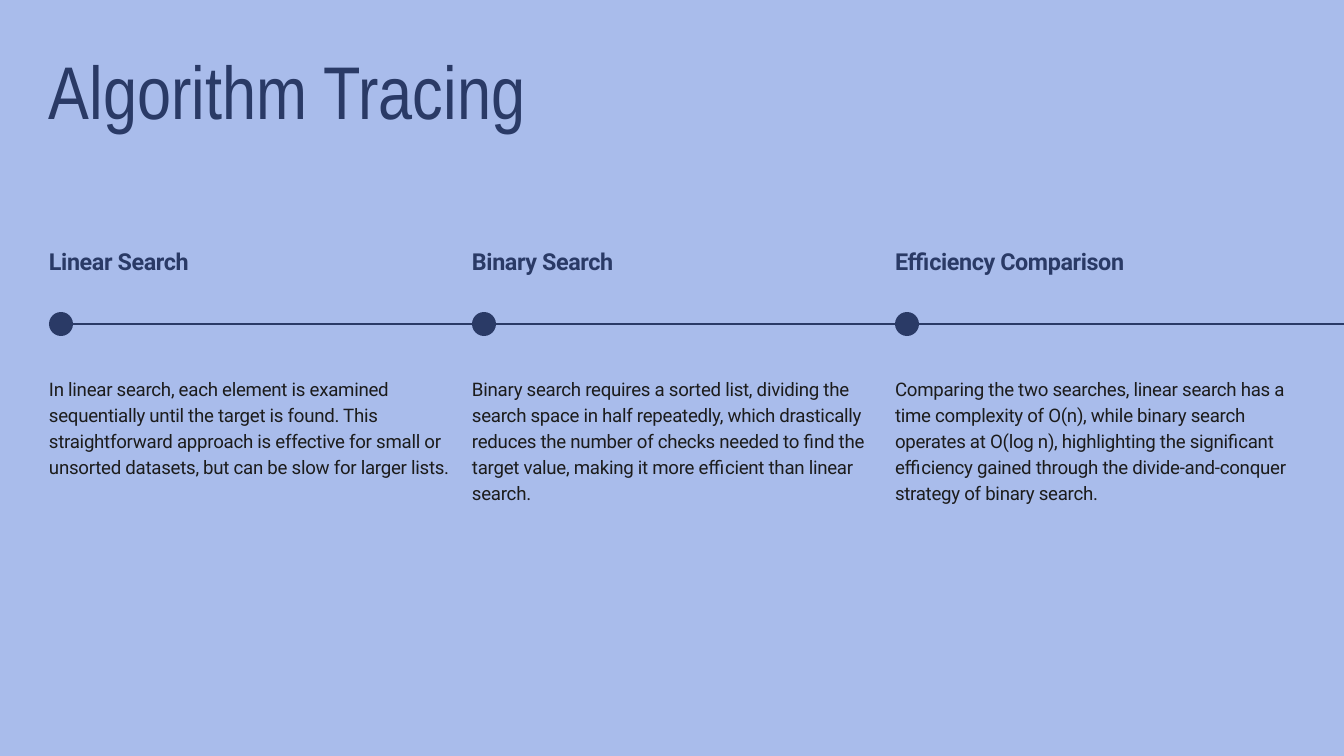
"""Build the Algorithm Tracing slide: three topics along a timeline."""
from pptx import Presentation
from pptx.dml.color import RGBColor
from pptx.enum.shapes import MSO_CONNECTOR, MSO_SHAPE
from pptx.enum.text import MSO_ANCHOR, MSO_AUTO_SIZE, PP_ALIGN
from pptx.oxml.ns import qn
from pptx.util import Pt
from lxml.etree import SubElement

TITLE = "Algorithm Tracing"
TOPICS = [
    ("Linear Search",
     "In linear search, each element is examined sequentially until the target is found. "
     "This straightforward approach is effective for small or unsorted datasets, "
     "but can be slow for larger lists."),
    ("Binary Search",
     "Binary search requires a sorted list, dividing the search space in half repeatedly, "
     "which drastically reduces the number of checks needed to find the target value, "
     "making it more efficient than linear search."),
    ("Efficiency Comparison",
     "Comparing the two searches, linear search has a time complexity of O(n), "
     "while binary search operates at O(log n), highlighting the significant efficiency "
     "gained through the divide-and-conquer strategy of binary search."),
]
COLORS = {"background": "A9BCEB", "navy": "2A3A66", "body": "1C1C1C"}
STYLES = {
    "title": dict(font="Arial Narrow", size=80, leading=80, color="navy", bold=False, tracking=0),
    "heading": dict(font="Roboto", size=25, leading=30, color="navy", bold=True, tracking=-0.4),
    "body": dict(font="Roboto", size=20, leading=28, color="body", bold=False, tracking=-0.3),
}

SLIDE_WIDTH, SLIDE_HEIGHT = 1344, 756
MARGIN, PITCH, COLUMN_WIDTH = 49, 423, 401
TITLE_TOP, TITLE_HEIGHT = 60, 79
HEADING_TOP, HEADING_HEIGHT = 247, 30
BODY_TOP, BODY_HEIGHT = 374, 130
LINE_Y, DOT = 324, 24


def px(length):
    return round(length * 914400 / 67.2)


def color(name):
    return RGBColor.from_string(COLORS[name])


def place(shape, left, top, width, height):
    shape.left, shape.top, shape.width, shape.height = map(px, (left, top, width, height))


def write(shape, text, style):
    frame = shape.text_frame
    frame.word_wrap = True
    frame.auto_size = MSO_AUTO_SIZE.SHAPE_TO_FIT_TEXT
    frame.vertical_anchor = MSO_ANCHOR.TOP
    frame.margin_left = frame.margin_top = frame.margin_right = frame.margin_bottom = 0
    paragraph = frame.paragraphs[0]
    paragraph.alignment = PP_ALIGN.LEFT
    paragraph.space_before = Pt(0)
    paragraph.line_spacing = Pt(style["leading"])
    run = paragraph.add_run()
    run.text = text
    run.font.name = style["font"]
    run.font.size = Pt(style["size"])
    run.font.bold = style["bold"]
    run.font.color.rgb = color(style["color"])
    if style["tracking"]:
        run._r.get_or_add_rPr().set("spc", str(round(style["tracking"] * 100)))


def add_text(slide, box, text, style):
    shape = slide.shapes.add_textbox(*map(px, box))
    write(shape, text, style)


def add_timeline(slide):
    line = slide.shapes.add_connector(
        MSO_CONNECTOR.STRAIGHT, px(MARGIN + DOT), px(LINE_Y), px(SLIDE_WIDTH), px(LINE_Y))
    line.line.color.rgb = color("navy")
    line.line.width = Pt(1.5)
    SubElement(line._element.spPr, qn("a:effectLst"))


def add_topic(slide, left, heading, body):
    add_text(slide, (left, HEADING_TOP, COLUMN_WIDTH, HEADING_HEIGHT), heading, STYLES["heading"])
    dot = slide.shapes.add_shape(
        MSO_SHAPE.OVAL, px(left), px(LINE_Y - DOT / 2), px(DOT), px(DOT))
    dot.shadow.inherit = False
    dot.fill.solid()
    dot.fill.fore_color.rgb = color("navy")
    dot.line.fill.background()
    add_text(slide, (left, BODY_TOP, COLUMN_WIDTH, BODY_HEIGHT), body, STYLES["body"])


def main():
    presentation = Presentation()
    presentation.slide_width, presentation.slide_height = px(SLIDE_WIDTH), px(SLIDE_HEIGHT)
    slide = presentation.slides.add_slide(presentation.slide_layouts.get_by_name("Title Only"))
    slide.background.fill.solid()
    slide.background.fill.fore_color.rgb = color("background")

    title = slide.shapes.title
    place(title, MARGIN, TITLE_TOP, SLIDE_WIDTH - 2 * MARGIN, TITLE_HEIGHT)
    write(title, TITLE, STYLES["title"])
    add_timeline(slide)
    for index, (heading, body) in enumerate(TOPICS):
        add_topic(slide, MARGIN + index * PITCH, heading, body)
    presentation.save("out.pptx")


if __name__ == "__main__":
    main()
